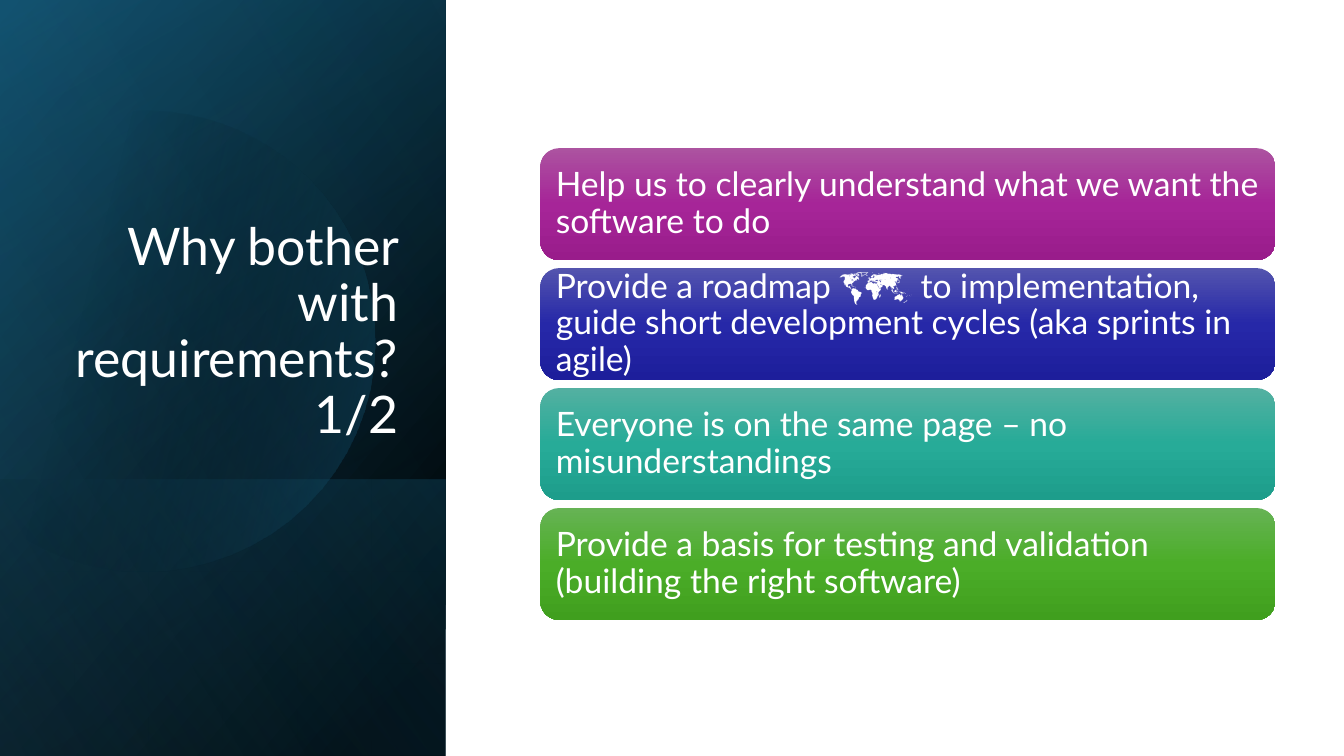
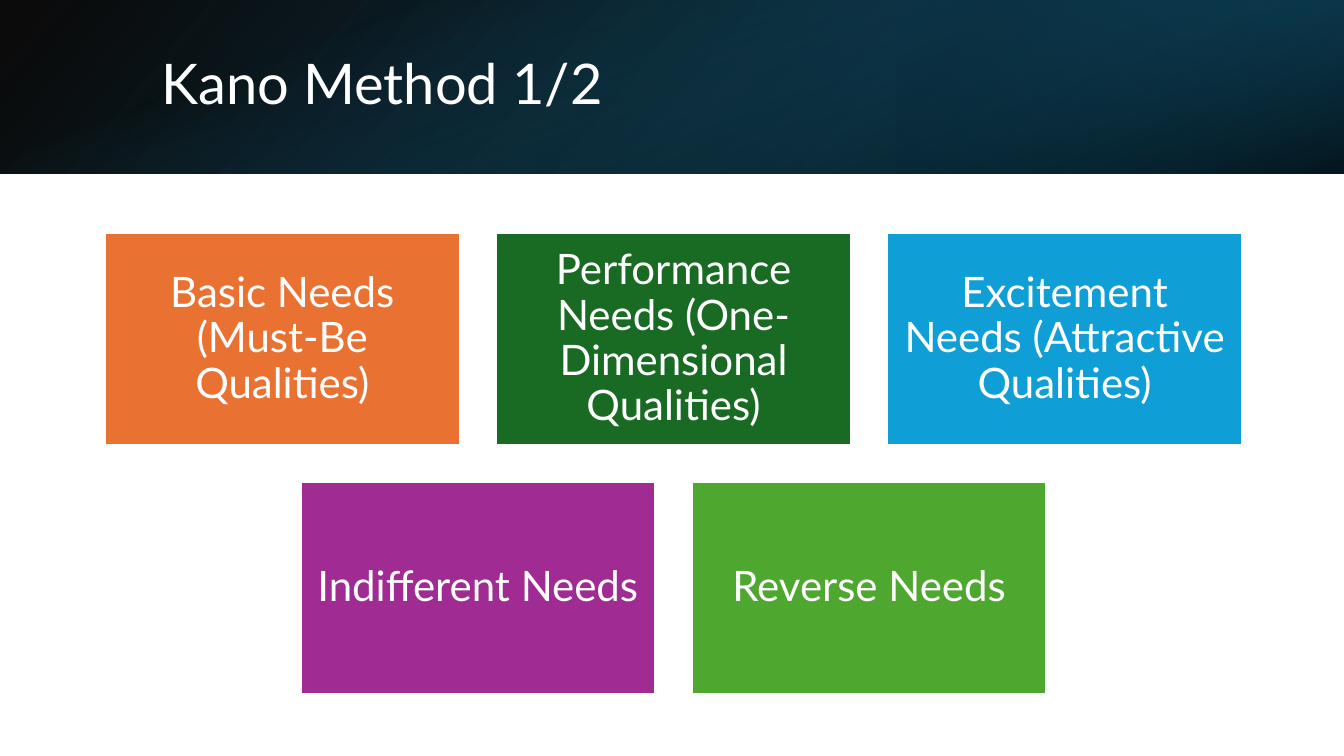
from dataclasses import dataclass

from lxml import etree
from pptx import Presentation
from pptx import util as u
from pptx.dml.color import RGBColor
from pptx.enum import shapes, text
from pptx.oxml.ns import qn

COLORS = {
    "white": "FFFFFF", "black": "000000", "navy": "104862", "teal": "156082",
    "deep": "0B3041", "sky": "46B1E1", "orange": "E97132", "forest": "196B24",
    "blue": "0F9ED5", "purple": "A02B93", "green": "4EA72E",
    "purple_light": "AC53A0", "purple_mid": "A62598", "purple_dark": "991C8B",
    "indigo_light": "5354AE", "indigo_mid": "2628A8", "indigo_dark": "1D1E9B",
    "mint_light": "53B0A1", "mint_mid": "27AB98", "mint_dark": "1D9D8B",
    "green_light": "66B354", "green_mid": "4BAD28", "green_dark": "409F1E",
}
FONT = "Lato"
WIDTH, HEIGHT = 13.33, 7.5
PANEL_WIDTH, BAND_HEIGHT = 4.42, 1.72


@dataclass(frozen=True)
class Box:
    left: float
    top: float
    width: float
    height: float


@dataclass(frozen=True)
class Stop:
    position: int
    color: str
    opacity: int = 100


@dataclass(frozen=True)
class Layer:
    box: Box
    stops: tuple[Stop, ...]
    angle: int
    rotation: int = 0
    flipped: bool = False


@dataclass(frozen=True)
class Card:
    label: str
    color: str


PANEL = Box(0, 0, PANEL_WIDTH, HEIGHT)
BAND = Box(0, 0, WIDTH, BAND_HEIGHT)
PANEL_BACK = [
    Layer(PANEL, (Stop(8, "black"), Stop(100, "navy")), 50, 90, True),
    Layer(PANEL, (Stop(0, "black", 0), Stop(99, "teal", 46)), 30, 90, True),
    Layer(Box(0, 4.76, PANEL_WIDTH, 2.74),
          (Stop(2, "teal", 29), Stop(100, "black", 30)), 130, 90, True),
]
PANEL_GLOW = Layer(PANEL, (Stop(0, "black", 0), Stop(99, "sky", 11)), 120, 90, True)
BAND_LAYERS = [
    Layer(BAND, (Stop(0, "black", 96), Stop(100, "navy")), 140, 0, True),
    Layer(Box(8.89, 0, 4.44, BAND_HEIGHT),
          (Stop(19, "deep", 68), Stop(100, "teal", 79)), 320, 180, True),
    Layer(BAND, (Stop(23, "teal", 0), Stop(99, "black", 74)), 340, 90),
]
DISC_START = (1.49, 1.1)
DISC_RIGHT = [
    ((2.46, 1.12), (3.35, 1.77), (3.63, 2.75)),
    ((3.98, 3.97), (3.28, 5.23), (2.07, 5.58)),
    ((1.31, 5.8), (0.53, 5.61), (-0.03, 5.14)),
]
DISC_EDGE = [(-0.15, 5.03), (-0.15, 1.75), (0, 1.61)]
DISC_TOP = [
    ((0.23, 1.42), (0.5, 1.28), (0.8, 1.19)),
    ((1.03, 1.13), (1.26, 1.1), DISC_START),
]
REASONS = [
    Card("Help us to clearly understand what we want the software to do", "purple"),
    Card("Provide a roadmap 🗺️ to implementation, guide short development cycles "
         "(aka sprints in agile)", "indigo"),
    Card("Everyone is on the same page – no misunderstandings", "mint"),
    Card("Provide a basis for testing and validation (building the right software)",
         "green"),
]
NEED_ROWS = [
    [Card("Basic Needs (Must-Be Qualities)", "orange"),
     Card("Performance Needs (One-Dimensional Qualities)", "forest"),
     Card("Excitement Needs (Attractive Qualities)", "blue")],
    [Card("Indifferent Needs", "purple"), Card("Reverse Needs", "green")],
]


def rgb(name: str) -> RGBColor:
    return RGBColor.from_string(COLORS[name])


def place(shape, box: Box) -> None:
    shape.left, shape.top = u.Inches(box.left), u.Inches(box.top)
    shape.width, shape.height = u.Inches(box.width), u.Inches(box.height)


def fill_gradient(shape, stops: tuple[Stop, ...], angle: int) -> None:
    shape.fill.gradient()
    gradient = shape._element.spPr.find(qn("a:gradFill"))
    for child in list(gradient):
        gradient.remove(child)
    stop_list = etree.SubElement(gradient, qn("a:gsLst"))
    for stop in stops:
        mark = etree.SubElement(stop_list, qn("a:gs"), pos=str(stop.position * 1000))
        color = etree.SubElement(mark, qn("a:srgbClr"), val=COLORS[stop.color])
        if stop.opacity < 100:
            etree.SubElement(color, qn("a:alpha"), val=str(stop.opacity * 1000))
    etree.SubElement(gradient, qn("a:lin"), ang=str(angle * 60000), scaled="0")


def add_box(page, kind, box: Box):
    shape = page.shapes.add_shape(
        kind, u.Inches(box.left), u.Inches(box.top),
        u.Inches(box.width), u.Inches(box.height))
    shape.shadow.inherit = False
    shape.line.fill.background()
    return shape


def add_layer(page, layer: Layer) -> None:
    box = layer.box
    if layer.rotation == 90:
        shift = (box.width - box.height) / 2
        box = Box(box.left + shift, box.top - shift, box.height, box.width)
    shape = add_box(page, shapes.MSO_SHAPE.RECTANGLE, box)
    shape.rotation = layer.rotation
    if layer.flipped:
        shape._element.spPr.find(qn("a:xfrm")).set("flipH", "1")
    fill_gradient(shape, layer.stops, layer.angle)


def trace_curves(start: tuple, curves: list, steps: int = 16) -> list[tuple]:
    points = []
    for first, second, end in curves:
        for step in range(1, steps + 1):
            t = step / steps
            s = 1 - t
            points.append(tuple(
                s**3 * a + 3 * s * s * t * b + 3 * s * t * t * c + t**3 * d
                for a, b, c, d in zip(start, first, second, end)))
        start = end
    return points


def add_disc(page) -> None:
    points = (trace_curves(DISC_START, DISC_RIGHT) + DISC_EDGE
              + trace_curves(DISC_EDGE[-1], DISC_TOP))
    builder = page.shapes.build_freeform(*(u.Inches(value) for value in DISC_START))
    builder.add_line_segments([(u.Inches(x), u.Inches(y)) for x, y in points])
    disc = builder.convert_to_shape()
    disc.shadow.inherit = False
    disc.line.fill.background()
    fill_gradient(disc, (Stop(29, "black", 0), Stop(100, "teal", 43)), 14)


def write(shape, words: str, size: int, align, anchor) -> None:
    frame = shape.text_frame
    frame.text = words
    frame.word_wrap = True
    frame.auto_size = text.MSO_AUTO_SIZE.NONE
    frame.vertical_anchor = anchor
    para = frame.paragraphs[0]
    para.alignment = align
    para.line_spacing = 0.9
    for span in para.runs:
        span.font.name = FONT
        span.font.size = u.Pt(size)
        span.font.color.rgb = rgb("white")


def add_card(page, kind, box: Box, card: Card, size: int, align, inset: float):
    shape = add_box(page, kind, box)
    write(shape, card.label, size, align, text.MSO_ANCHOR.MIDDLE)
    frame = shape.text_frame
    frame.margin_left = frame.margin_right = u.Inches(inset)
    frame.margin_top = frame.margin_bottom = u.Inches(inset)
    return shape


def add_title(page, words: str, box: Box, size: int, align, anchor) -> None:
    title = page.shapes.title
    place(title, box)
    write(title, words, size, align, anchor)
    page.shapes._spTree.append(title._element)


def build_reasons(page) -> None:
    for layer in PANEL_BACK:
        add_layer(page, layer)
    add_disc(page)
    add_layer(page, PANEL_GLOW)
    add_title(page, "Why bother with requirements? 1/2", Box(0.64, 1.84, 3.41, 2.62),
              37, text.PP_ALIGN.RIGHT, text.MSO_ANCHOR.BOTTOM)
    height, gap = 1.11, 0.08
    for index, reason in enumerate(REASONS):
        box = Box(5.36, 1.47 + index * (height + gap), 7.29, height)
        shape = add_card(page, shapes.MSO_SHAPE.ROUNDED_RECTANGLE, box, reason,
                         24, text.PP_ALIGN.LEFT, 0.1)
        tones = zip((0, 50, 100), ("light", "mid", "dark"))
        stops = tuple(Stop(position, f"{reason.color}_{tone}") for position, tone in tones)
        fill_gradient(shape, stops, 90)


def build_needs(page) -> None:
    for layer in BAND_LAYERS:
        add_layer(page, layer)
    add_title(page, "Kano Method 1/2", Box(1.5, 0.38, 10.98, 0.96),
              40, text.PP_ALIGN.LEFT, text.MSO_ANCHOR.MIDDLE)
    width, height, gap, center = 3.52, 2.11, 0.36, 6.68
    for row, needs in enumerate(NEED_ROWS):
        left = center - (len(needs) * (width + gap) - gap) / 2
        for column, need in enumerate(needs):
            box = Box(left + column * (width + gap), 2.31 + row * (height + gap),
                      width, height)
            shape = add_card(page, shapes.MSO_SHAPE.RECTANGLE, box, need,
                             30, text.PP_ALIGN.CENTER, 0.12)
            shape.fill.solid()
            shape.fill.fore_color.rgb = rgb(need.color)
            shape.line.color.rgb = rgb("white")
            shape.line.width = u.Pt(1.5)


def main() -> None:
    deck = Presentation()
    deck.slide_width, deck.slide_height = u.Inches(WIDTH), u.Inches(HEIGHT)
    title_only = deck.slide_layouts.get_by_name("Title Only")
    for build in (build_reasons, build_needs):
        build(deck.slides.add_slide(title_only))
    deck.save("out.pptx")


if __name__ == "__main__":
    main()
